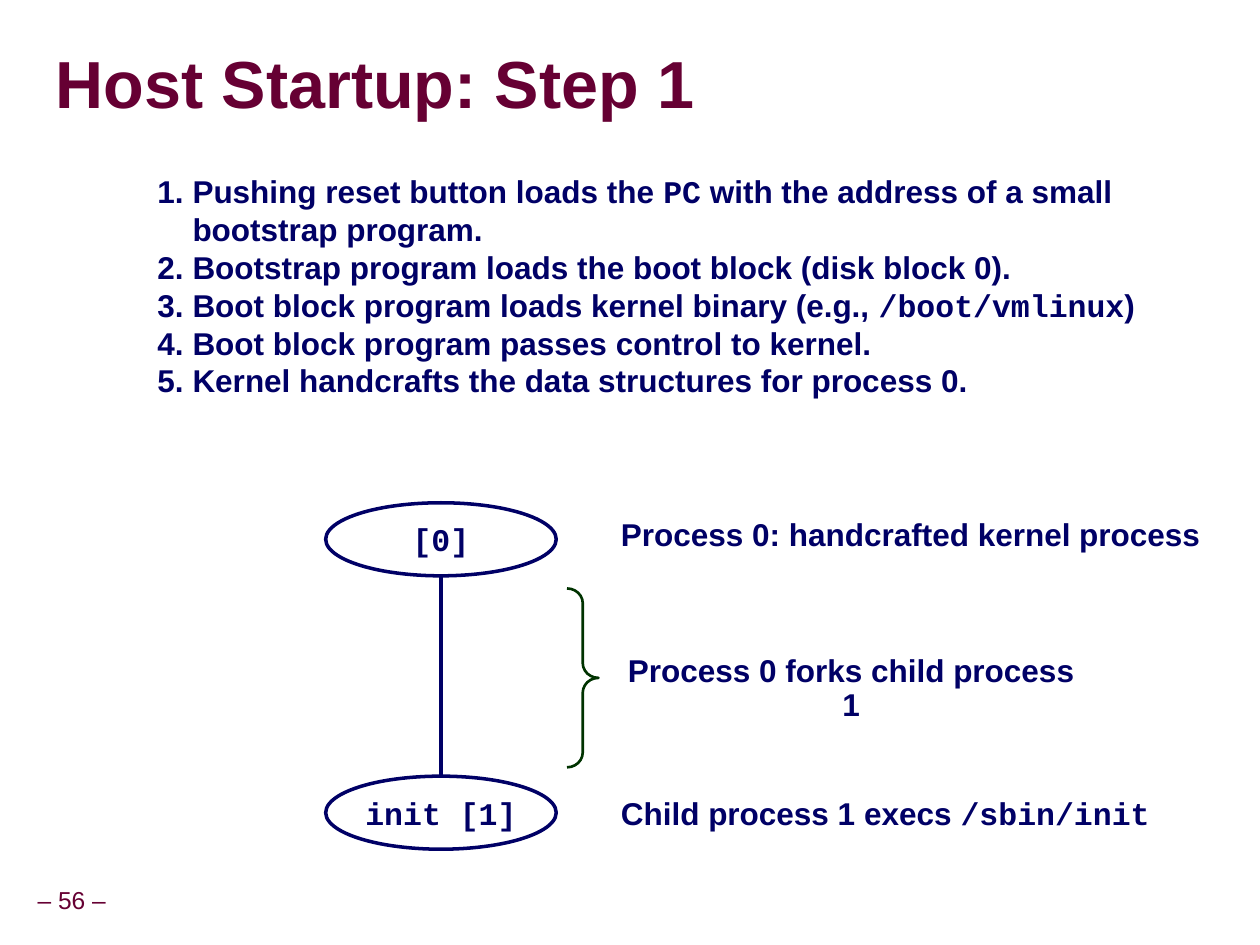
"""Build the Host startup slide with its process diagram."""
from lxml.etree import SubElement
from pptx import Presentation
from pptx.dml.color import RGBColor
from pptx.enum.shapes import MSO_CONNECTOR, MSO_SHAPE
from pptx.enum.text import MSO_ANCHOR, PP_ALIGN
from pptx.oxml import parse_xml
from pptx.oxml.ns import nsdecls, qn
from pptx.util import Inches, Pt

HUES = {"navy": "000066", "wine": "660033", "green": "003300", "white": "FFFFFF"}
WIDE, HIGH = 10, 7.5
MID, NOTE = 3.5, 4.83
TOP, LOW = 4.28, 6.45
OVAL = (1.83, 0.58)
STEPS = [
    "Pushing reset button loads the `PC` with the address of a small bootstrap program.",
    "Bootstrap program loads the boot block (disk block 0).",
    "Boot block program loads kernel binary (e.g., `/boot/vmlinux`)",
    "Boot block program passes control to kernel.",
    "Kernel handcrafts the data structures for process 0.",
]
SHADE = (
    f"<a:effectLst {nsdecls('a')}>"
    '<a:outerShdw blurRad="50800" dist="50800" dir="2700000">'
    '<a:srgbClr val="000000"><a:alpha val="40000"/></a:srgbClr>'
    "</a:outerShdw></a:effectLst>"
)


def hue(name):
    return RGBColor.from_string(HUES[name])


def number(para, hang=0.28):
    props = para._p.get_or_add_pPr()
    props.set("marL", str(Inches(hang)))
    props.set("indent", str(-Inches(hang)))
    SubElement(props, qn("a:buFont"), typeface="+mj-lt")
    SubElement(props, qn("a:buAutoNum"), type="arabicPeriod")


def write(frame, *lines, size=18, color="navy", bold=True, align=PP_ALIGN.LEFT,
          anchor=MSO_ANCHOR.TOP, wrap=False, inset=None, space=None, count=False):
    """Fill a frame; words between backticks are set in Courier New."""
    frame.word_wrap, frame.vertical_anchor = wrap, anchor
    if inset is not None:
        frame.margin_left = frame.margin_right = Inches(inset)
        frame.margin_top = frame.margin_bottom = Inches(inset)
    for row, line in enumerate(lines):
        para = frame.add_paragraph() if row else frame.paragraphs[0]
        para.alignment = align
        if space:
            para.line_spacing = space
        if count:
            number(para)
        for part, words in enumerate(line.split("`")):
            if words:
                run = para.add_run()
                run.text = words
                font = run.font
                font.name = "Courier New" if part % 2 else "Arial"
                font.size, font.bold = Pt(size), bold
                font.color.rgb = hue(color)


def label(slide, left, top, wide, high, *lines, **style):
    box = slide.shapes.add_textbox(*map(Inches, (left, top, wide, high)))
    write(box.text_frame, *lines, **style)


def head(slide, words):
    title = slide.shapes.title
    title.left, title.top = Inches(0.44), Inches(0.27)
    title.width, title.height = Inches(9.53), Inches(0.85)
    write(title.text_frame, words, size=38, color="wine", wrap=True,
          anchor=MSO_ANCHOR.MIDDLE, inset=0, space=0.87)
    props = title.text_frame.paragraphs[0].runs[0]._r.get_or_add_rPr()
    props.find(qn("a:solidFill")).addnext(parse_xml(SHADE))


def node(slide, y, words):
    wide, high = OVAL
    oval = slide.shapes.add_shape(
        MSO_SHAPE.OVAL, *map(Inches, (MID - wide / 2, y - high / 2, wide, high)))
    oval.shadow.inherit = False
    oval.fill.solid()
    oval.fill.fore_color.rgb = hue("white")
    oval.line.color.rgb, oval.line.width = hue("navy"), Pt(2)
    write(oval.text_frame, f"`{words}`", align=PP_ALIGN.CENTER,
          anchor=MSO_ANCHOR.MIDDLE)


def link(slide):
    half = OVAL[1] / 2
    line = slide.shapes.add_connector(
        MSO_CONNECTOR.STRAIGHT, *map(Inches, (MID, TOP + half, MID, LOW - half)))
    line.line.color.rgb, line.line.width = hue("navy"), Pt(2)
    SubElement(line._element.spPr, qn("a:effectLst"))


def brace(slide):
    mark = slide.shapes.add_shape(
        MSO_SHAPE.RIGHT_BRACE, *map(Inches, (4.5, 4.67, 0.25, 1.42)))
    mark.shadow.inherit = False
    mark.adjustments[0] = 0.47
    mark.fill.background()
    mark.line.color.rgb, mark.line.width = hue("green"), Pt(1.5)


def main():
    deck = Presentation()
    deck.slide_width, deck.slide_height = Inches(WIDE), Inches(HIGH)
    slide = deck.slides.add_slide(deck.slide_layouts[5])
    tight = {"align": PP_ALIGN.CENTER, "inset": 0.05, "space": 0.9}
    head(slide, "Host Startup: Step 1")
    label(slide, 1.15, 1.32, 8.1, 2.2, *STEPS, wrap=True, count=True)
    node(slide, TOP, "[0]")
    node(slide, LOW, "init [1]")
    link(slide)
    brace(slide)
    label(slide, NOTE, 4.04, 4.8, 0.4, "Process 0: handcrafted kernel process")
    label(slide, NOTE, 5.15, 3.85, 0.37, "Process 0 forks child process 1", **tight)
    label(slide, NOTE, 6.25, 4.4, 0.4, "Child process 1 execs `/sbin/init`")
    label(slide, 0.24, 7, 0.66, 0.31, "– 56 –", size=14, color="wine",
          bold=False, anchor=MSO_ANCHOR.MIDDLE, **tight)
    deck.save("out.pptx")


if __name__ == "__main__":
    main()
